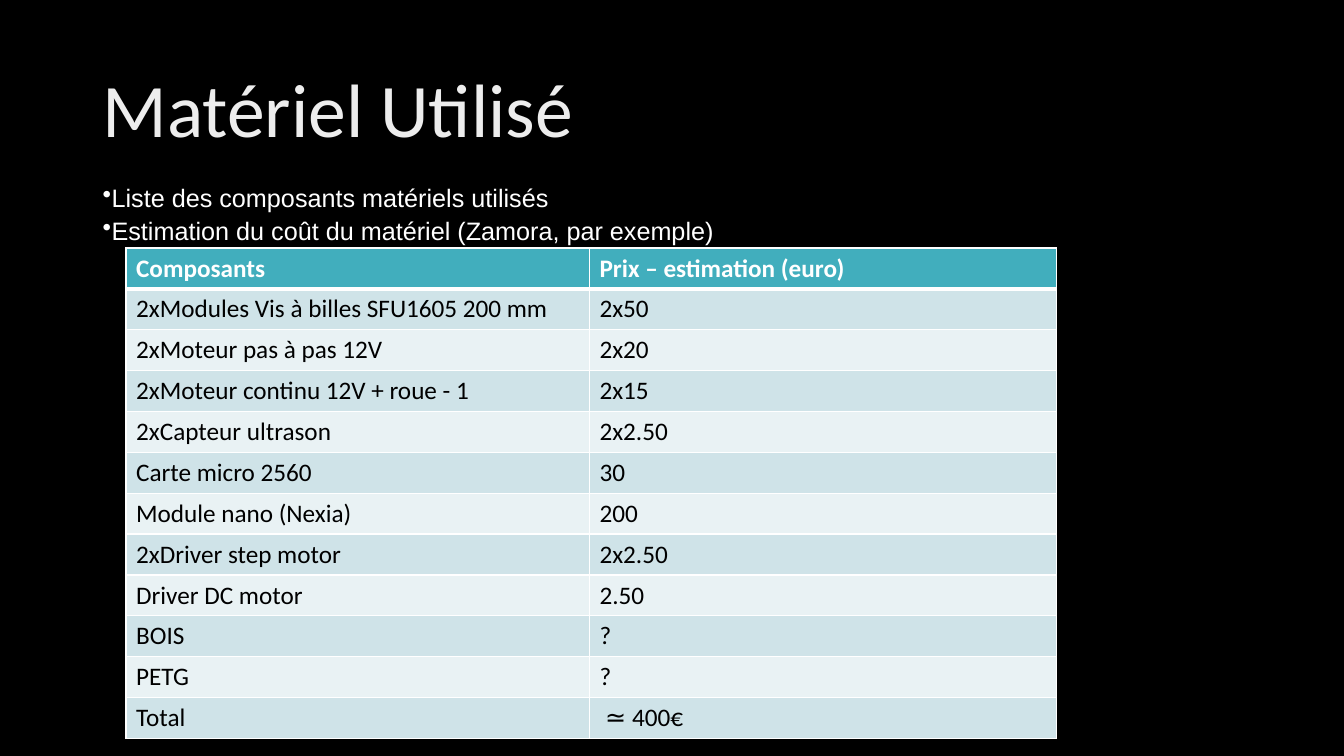
from dataclasses import dataclass

from lxml.etree import SubElement as Sub
from pptx import Presentation
from pptx.dml.color import RGBColor as Rgb
from pptx.enum.text import MSO_ANCHOR as Anchor
from pptx.oxml.ns import qn
from pptx.util import Inches, Pt

WIDE, HIGH = Inches(13.33), Inches(7.5)
HUES = {
    "back": "000000", "title": "EDEDED", "white": "FFFFFF", "ink": "000000",
    "head": "41AEBD", "odd": "CFE3E8", "even": "E9F2F4",
}


@dataclass
class Area:
    """A place on the slide, in percent of its width and height."""
    left: float
    top: float
    width: float
    height: float

    def box(self) -> tuple[int, int, int, int]:
        return (int(WIDE * self.left / 100), int(HIGH * self.top / 100),
                int(WIDE * self.width / 100), int(HIGH * self.height / 100))


@dataclass
class Block:
    """A text box with one style for all its lines."""
    area: Area
    lines: list[str]
    face: str
    size: int
    hue: str
    anchor: Anchor
    mark: str = ""
    after: float = 0
    lead: float = 1


@dataclass
class Item:
    """A row of the price table."""
    name: str
    price: str


BLOCKS = [
    Block(Area(6.9, 5.33, 86.25, 19.33), ["Matériel Utilisé"],
          "Calibri", 54, "title", Anchor.MIDDLE, lead=0.9),
    Block(Area(6.9, 23.5, 48.4, 9.3),
          ["Liste des composants matériels utilisés",
           "Estimation du coût du matériel (Zamora, par exemple)"],
          "Arial", 18, "white", Anchor.TOP, mark="•", after=1.5),
]
GRID = Area(9.38, 32.8, 69.24, 64.93)
SPLIT = 0.498
ITEMS = [
    Item("Composants", "Prix – estimation (euro)"),
    Item("2xModules Vis à billes SFU1605 200 mm", "2x50"),
    Item("2xMoteur pas à pas 12V", "2x20"),
    Item("2xMoteur continu 12V + roue - 1", "2x15"),
    Item("2xCapteur ultrason", "2x2.50"),
    Item("Carte micro 2560", "30"),
    Item("Module nano (Nexia)", "200"),
    Item("2xDriver step motor", "2x2.50"),
    Item("Driver DC motor", "2.50"),
    Item("BOIS", "?"),
    Item("PETG", "?"),
    Item("Total", " ≃ 400€"),
]


def tint(name: str) -> Rgb:
    return Rgb.from_string(HUES[name])


def style(para, face: str, size: int, hue: str, bold: bool = False) -> None:
    font = para.font
    font.name, font.size, font.bold = face, Pt(size), bold
    font.color.rgb = tint(hue)


def write(slide, block: Block) -> None:
    frame = slide.shapes.add_textbox(*block.area.box()).text_frame
    frame.word_wrap = True
    frame.vertical_anchor = block.anchor
    frame.text = "\n".join(block.lines)
    for para in frame.paragraphs:
        para.line_spacing = block.lead
        para.space_after = Pt(block.after)
        if block.mark:
            props = para._p.get_or_add_pPr()
            props.set("marL", "0")
            props.set("indent", "0")
            Sub(props, qn("a:buChar"), char=block.mark)
        style(para, block.face, block.size, block.hue)


def edge(cell, row: int) -> None:
    """White borders, thicker between the head and the body."""
    props = cell._tc.get_or_add_tcPr()
    sides = {"L": 1, "R": 1, "T": 3 if row == 1 else 1, "B": 3 if row == 0 else 1}
    for side, width in sides.items():
        line = Sub(props, qn(f"a:ln{side}"), w=str(Pt(width)))
        fill = Sub(line, qn("a:solidFill"))
        Sub(fill, qn("a:srgbClr"), val=HUES["white"])


def tabulate(slide, items: list[Item]) -> None:
    box = GRID.box()
    table = slide.shapes.add_table(len(items), 2, *box).table
    table.horz_banding = False
    for col, share in zip(table.columns, (SPLIT, 1 - SPLIT)):
        col.width = int(box[2] * share)
    for row, item in enumerate(items):
        head = row == 0
        fill = "head" if head else "odd" if row % 2 else "even"
        for col, text in enumerate((item.name, item.price)):
            cell = table.cell(row, col)
            cell.text = text
            edge(cell, row)
            cell.fill.solid()
            cell.fill.fore_color.rgb = tint(fill)
            style(cell.text_frame.paragraphs[0], "Calibri", 18,
                  "white" if head else "ink", head)


def main() -> None:
    deck = Presentation()
    deck.slide_width, deck.slide_height = WIDE, HIGH
    slide = deck.slides.add_slide(deck.slide_layouts[6])
    slide.background.fill.solid()
    slide.background.fill.fore_color.rgb = tint("back")

    # Title and bullets
    for block in BLOCKS:
        write(slide, block)

    # Price table
    tabulate(slide, ITEMS)
    deck.save("out.pptx")


if __name__ == "__main__":
    main()
